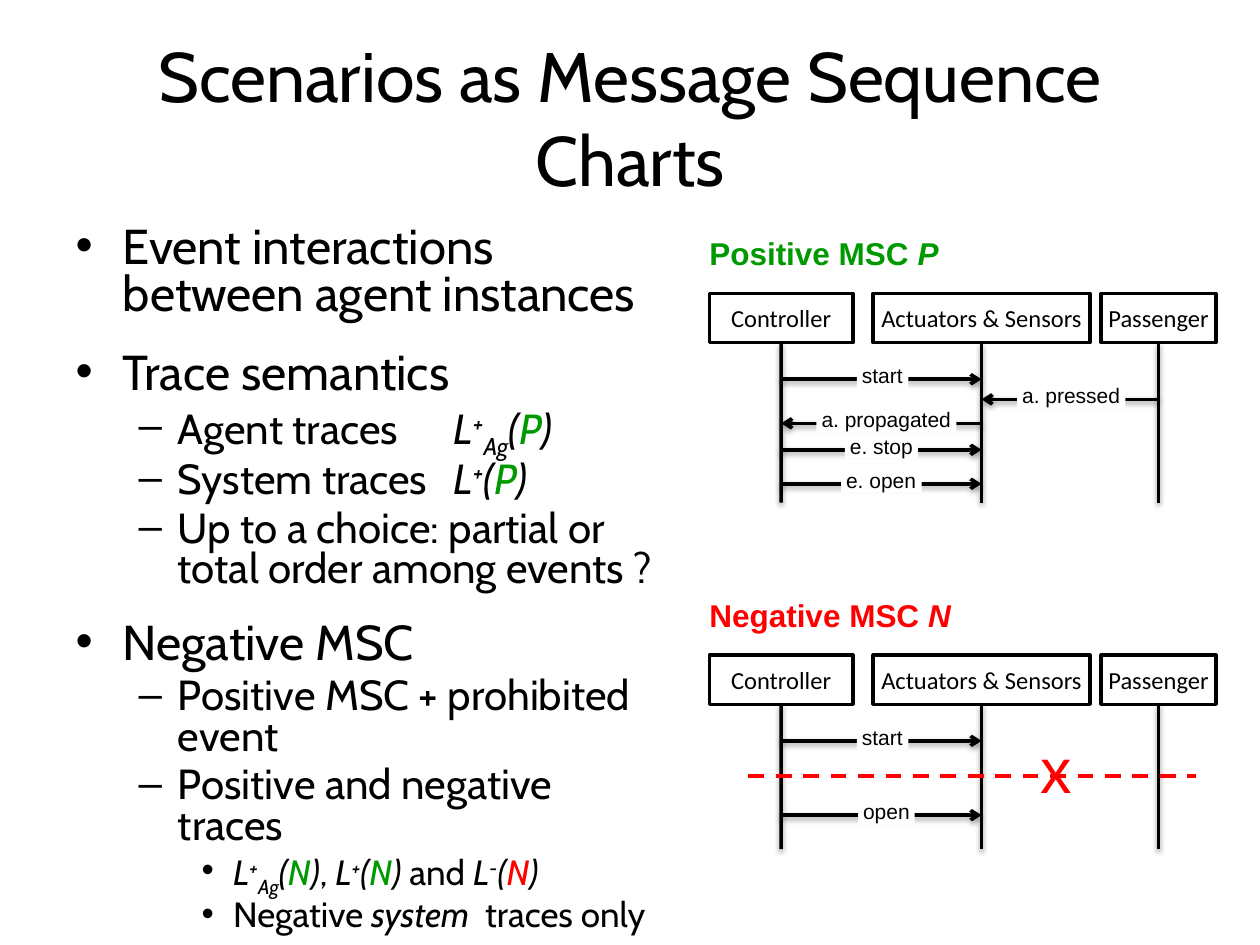
from dataclasses import dataclass

from lxml import etree
from pptx import Presentation
from pptx.dml.color import RGBColor
from pptx.enum.dml import MSO_LINE
from pptx.enum.shapes import MSO_CONNECTOR, MSO_SHAPE
from pptx.enum.text import MSO_ANCHOR, MSO_AUTO_SIZE, PP_ALIGN
from pptx.oxml.ns import qn
from pptx.util import Inches, Pt

STRAIGHT, RECT, DASH = MSO_CONNECTOR.STRAIGHT, MSO_SHAPE.RECTANGLE, MSO_LINE.DASH
MIDDLE, TOP = MSO_ANCHOR.MIDDLE, MSO_ANCHOR.TOP
CENTER, LEFT = PP_ALIGN.CENTER, PP_ALIGN.LEFT
NO_FIT = MSO_AUTO_SIZE.NONE


@dataclass(frozen=True)
class Theme:
    black: RGBColor = RGBColor(0, 0, 0)
    white: RGBColor = RGBColor(255, 255, 255)
    green: RGBColor = RGBColor(0, 0x99, 0)
    red: RGBColor = RGBColor(255, 0, 0)
    text_font: str = "Cabin"
    box_font: str = "Calibri"
    label_font: str = "Arial"
    title: int = 40
    levels: tuple = (28, 24, 20)
    box: int = 14
    label: int = 12
    heading: int = 18
    cross: int = 36
    line: float = 2


T = Theme()

# Run styles: i italic, b bold, ^ superscript, _ subscript, g green, r red
TITLE = "Scenarios as Message Sequence Charts"


def language(sign, name, colour, agent=False):
    """Runs of a trace language such as L+(P)."""
    sub = [("Ag", "i_")] if agent else []
    return [("L", "i"), (sign, "i^"), *sub, ("(", "i"), (name, "i" + colour), (")", "i")]


BODY = [
    (0, [("Event interactions between agent instances", "")]),
    (0, [("Trace semantics", "")]),
    (1, [("Agent traces \t", ""), *language("+", "P", "g", agent=True)]),
    (1, [("System traces\t", ""), *language("+", "P", "g")]),
    (1, [("Up to a choice: partial or total order among events ?", "")]),
    (0, [("Negative MSC", "")]),
    (1, [("Positive MSC + prohibited event", "")]),
    (1, [("Positive and negative traces", "")]),
    (2, [*language("+", "N", "g", agent=True), (", ", ""), *language("+", "N", "g"),
         (" and ", ""), *language("-", "N", "r")]),
    (2, [("Negative ", ""), ("system", "i"), ("  traces only", "")]),
]

# Agents: name, left, width
AGENTS = [("Controller", 5.63, 1.14), ("Actuators & Sensors", 6.93, 1.72),
          ("Passenger", 8.74, 0.91)]
BOX_H = 0.39
CONTROLLER, ACTUATORS, PASSENGER = range(3)

# Messages: label, sender, receiver, drop below chart top, label width, label shift
CHARTS = [
    dict(heading=[("Positive MSC ", "bg"), ("P", "big")], top=2.33, height=1.66,
         messages=[
             ("start", CONTROLLER, ACTUATORS, 0.68, 0.41, 0.01),
             ("a. pressed", PASSENGER, ACTUATORS, 0.84, 0.86, 0.01),
             ("e. stop", CONTROLLER, ACTUATORS, 1.24, 0.58, 0),
             ("e. open", CONTROLLER, ACTUATORS, 1.51, 0.64, 0),
             ("a. propagated", ACTUATORS, CONTROLLER, 1.03, 1.11, 0.04),
         ]),
    dict(heading=[("Negative MSC ", "br"), ("N", "bir")], top=5.2, height=1.54,
         messages=[
             ("start", CONTROLLER, ACTUATORS, 0.68, 0.41, 0.01),
             ("open", CONTROLLER, ACTUATORS, 1.27, 0.45, 0.04),
         ],
         prohibited=0.96),
]


def add_runs(p, runs, font, size):
    for text, style in runs:
        r = p.add_run()
        r.text = text
        f = r.font
        f.name, f.size = font, Pt(size)
        f.italic, f.bold = "i" in style, "b" in style
        f.color.rgb = T.green if "g" in style else T.red if "r" in style else T.black
        for mark, baseline in (("^", "30000"), ("_", "-25000")):
            if mark in style:
                r._r.get_or_add_rPr().set("baseline", baseline)


def set_text(sp, runs, font, size, align=LEFT, anchor=TOP, margin=0, wrap=False):
    tf = sp.text_frame
    tf.word_wrap, tf.auto_size, tf.vertical_anchor = wrap, NO_FIT, anchor
    tf.margin_left = tf.margin_right = Inches(margin)
    tf.margin_top = tf.margin_bottom = 0
    p = tf.paragraphs[0]
    p.alignment = align
    add_runs(p, runs, font, size)


def add_rect(shapes, x, y, w, h, outlined):
    sp = shapes.add_shape(RECT, Inches(x), Inches(y), Inches(w), Inches(h))
    sp.shadow.inherit = False
    sp.fill.solid()
    sp.fill.fore_color.rgb = T.white
    if outlined:
        sp.line.color.rgb = T.black
        sp.line.width = Pt(T.line)
    else:
        sp.line.fill.background()
    return sp


def add_line(shapes, x1, y1, x2, y2, color=T.black, width=T.line, arrow=False, shadow=True):
    line = shapes.add_connector(STRAIGHT, *map(Inches, (x1, y1, x2, y2)))
    line.line.color.rgb = color
    line.line.width = Pt(width)
    if arrow:
        etree.SubElement(line.line._get_or_add_ln(), qn("a:tailEnd"), type="arrow")
    effects = etree.SubElement(line._element.spPr, qn("a:effectLst"))
    if shadow:
        outer = etree.SubElement(effects, qn("a:outerShdw"), blurRad="40000",
                                 dist="20000", dir="5400000", rotWithShape="0")
        black = etree.SubElement(outer, qn("a:srgbClr"), val=str(T.black))
        etree.SubElement(black, qn("a:alpha"), val="38000")
    return line


def add_textbox(shapes, x, y, w, h, runs, size):
    sp = shapes.add_textbox(Inches(x), Inches(y), Inches(w), Inches(h))
    set_text(sp, runs, T.label_font, size)


def add_chart_of_messages(slide, heading, top, height, messages, prohibited=None):
    add_textbox(slide.shapes, AGENTS[0][1], top - 0.47, 1.94, 0.3, heading, T.heading)
    shapes = slide.shapes.add_group_shape().shapes
    centres = [x + w / 2 for _, x, w in AGENTS]
    boxes = []
    for name, x, w in AGENTS:
        sp = add_rect(shapes, x, top, w, BOX_H, outlined=True)
        set_text(sp, [(name, "")], T.box_font, T.box, CENTER, MIDDLE, wrap=True)
        boxes.append(sp)
    for box, x in zip(boxes, centres):
        lifeline = add_line(shapes, x, top + BOX_H, x, top + height)
        lifeline.begin_connect(box, 2)
    for label, sender, receiver, drop, w, shift in messages:
        x1, x2, y = centres[sender], centres[receiver], top + drop
        add_line(shapes, x1, y, x2, y, arrow=True)
        sp = add_rect(shapes, (x1 + x2 - w) / 2 + shift, y - 0.13, w, 0.2, outlined=False)
        set_text(sp, [(label, "")], T.label_font, T.label, margin=0.04)
    if prohibited:
        y = top + prohibited
        dashed = add_line(shapes, 5.94, y, 9.49, y, T.red, 2.25, shadow=False)
        dashed.line.dash_style = DASH
        add_textbox(shapes, 8.26, y - 0.36, 0.25, 0.61, [("x", "r")], T.cross)


def place(sp, x, y, w, h):
    sp.left, sp.top, sp.width, sp.height = map(Inches, (x, y, w, h))


def main():
    prs = Presentation()
    prs.slide_width, prs.slide_height = Inches(10), Inches(7.5)
    slide = prs.slides.add_slide(prs.slide_layouts[1])

    title, body = slide.placeholders
    place(title, 0.5, 0.3, 9, 1.25)
    set_text(title, [(TITLE, "")], T.text_font, T.title, CENTER, MIDDLE, 0.1, wrap=True)

    place(body, 0.5, 1.75, 4.89, 5.54)
    tf = body.text_frame
    tf.word_wrap, tf.auto_size = True, NO_FIT
    for i, (level, runs) in enumerate(BODY):
        p = tf.add_paragraph() if i else tf.paragraphs[0]
        p.level, p.line_spacing = level, 0.8
        if level == 0:
            p.space_before = Pt(18 if i else 0)
        add_runs(p, runs, T.text_font, T.levels[level])

    for chart in CHARTS:
        add_chart_of_messages(slide, **chart)
    prs.save("out.pptx")


if __name__ == "__main__":
    main()
